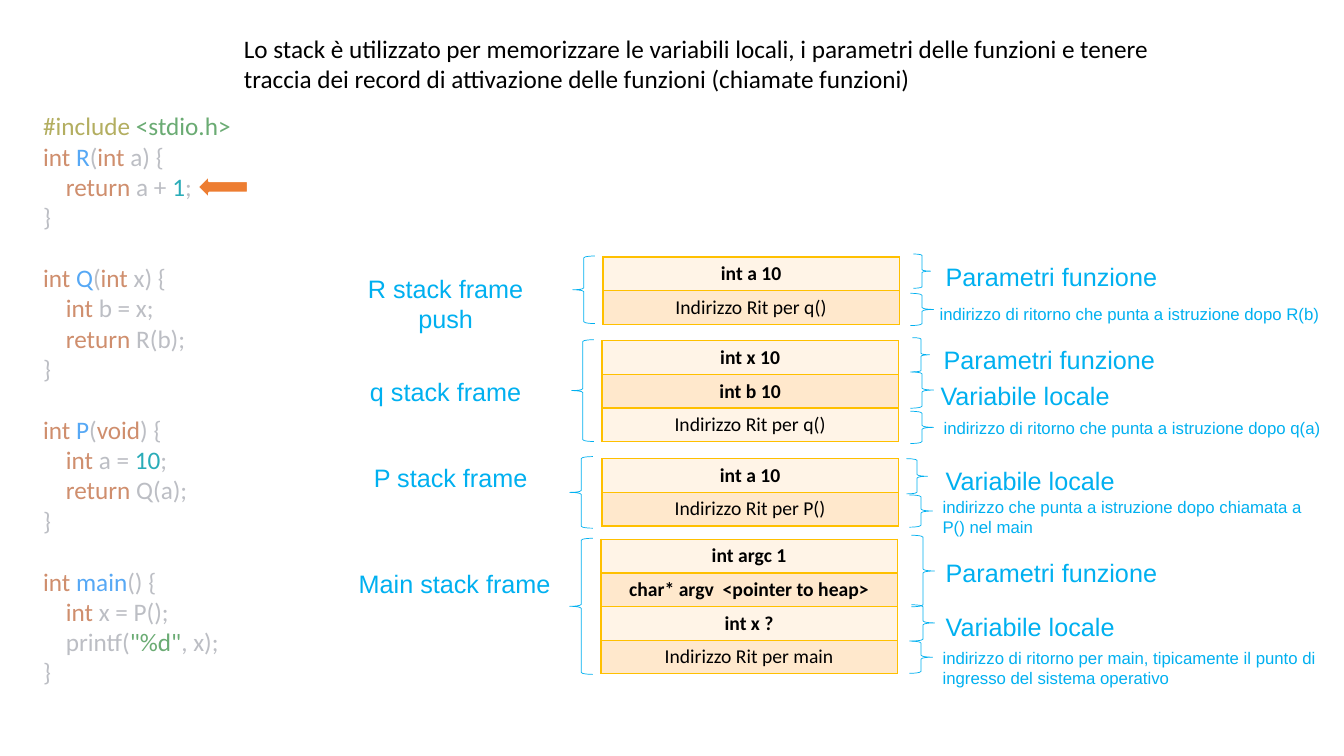
from dataclasses import dataclass

from lxml.etree import SubElement
from pptx import Presentation
from pptx.dml.color import RGBColor
from pptx.enum.shapes import MSO_SHAPE
from pptx.enum.text import PP_ALIGN
from pptx.oxml.ns import qn
from pptx.util import Inches, Pt


@dataclass(frozen=True)
class Theme:
    text: str = "000000"
    accent: str = "00B0F0"
    border: str = "FFC000"
    bands: tuple = ("FFF4E7", "FFE8CC")
    arrow: str = "ED7D31"
    arrow_line: str = "FFFFFF"
    plain: str = "BCBEC4"
    keyword: str = "CF8E6D"
    function: str = "56A8F5"
    number: str = "2AACB8"
    string: str = "6AAB73"
    directive: str = "B3AE60"
    body_font: str = "Calibri"
    label_font: str = "Arial"
    body_size: int = 18
    cell_size: int = 14
    small_size: int = 12


theme = Theme()


def add_run(paragraph, text, color, size=theme.body_size, font=theme.body_font, bold=False):
    run = paragraph.add_run()
    run.text = text
    run.font.name = font
    run.font.size = Pt(size)
    run.font.bold = bold
    run.font.color.rgb = RGBColor.from_string(color)


def add_frame(shapes, left, top, width, height):
    """Add a wrapping text box and return its text frame."""
    frame = shapes.add_textbox(Inches(left), Inches(top), Inches(width), Inches(height)).text_frame
    frame.word_wrap = True
    return frame


prs = Presentation()
prs.slide_width = Inches(13.33)
prs.slide_height = Inches(7.5)
shapes = prs.slides.add_slide(prs.slide_layouts[6]).shapes

intro = add_frame(shapes, 2.32, 0.28, 9.69, 0.71)
add_run(intro.paragraphs[0],
        "Lo stack è utilizzato per memorizzare le variabili locali, i parametri delle funzioni e tenere "
        "traccia dei record di attivazione delle funzioni (chiamate funzioni)", theme.text)

# Each stack frame: title and its place, table place, rows, left brace,
# then the notes as (brace box, label, label place, size)
PARAMETERS, LOCAL = "Parametri funzione", "Variabile locale"
BIG, SMALL = theme.body_size, theme.small_size
stack_frames = [
    ("R stack frame push", (3.27, 2.66), (5.98, 2.55),
     ["int a 10", "Indirizzo Rit per q()"], (5.68, 2.54, 0.22, 0.67),
     [((9.06, 2.52, 0.17, 0.34), PARAMETERS, (9.28, 2.54), BIG),
      ((9.03, 2.91, 0.23, 0.32), "indirizzo di ritorno che punta a istruzione dopo R(b)",
       (9.22, 2.96), SMALL)]),
    ("q stack frame", (3.27, 3.68), (5.97, 3.38),
     ["int x 10", "int b 10", "Indirizzo Rit per q()"], (5.67, 3.37, 0.22, 1.01),
     [((9.05, 3.35, 0.17, 0.34), PARAMETERS, (9.26, 3.37), BIG),
      ((9.03, 3.69, 0.23, 0.36), LOCAL, (9.23, 3.72), BIG),
      ((9.03, 4.08, 0.23, 0.32), "indirizzo di ritorno che punta a istruzione dopo q(a)",
       (9.26, 4.1), SMALL)]),
    ("P stack frame", (3.32, 4.54), (5.97, 4.55),
     ["int a 10", "Indirizzo Rit per P()"], (5.65, 4.53, 0.23, 0.71),
     [((8.99, 4.55, 0.21, 0.35), LOCAL, (9.28, 4.57), BIG),
      ((9.02, 4.91, 0.23, 0.32), "indirizzo che punta a istruzione dopo chiamata a P() nel main",
       (9.25, 4.88), SMALL)]),
    ("Main stack frame", (3.36, 5.59), (5.96, 5.35),
     ["int argc 1", "char* argv  <pointer to heap>", "int x ?", "Indirizzo Rit per main"],
     (5.65, 5.34, 0.23, 1.35),
     [((9.04, 5.31, 0.23, 0.71), PARAMETERS, (9.28, 5.48), BIG),
      ((9.04, 6, 0.23, 0.36), LOCAL, (9.28, 6.02), BIG),
      ((9.02, 6.36, 0.23, 0.32),
       "indirizzo di ritorno per main, tipicamente il punto di ingresso del sistema operativo",
       (9.25, 6.38), SMALL)]),
]
ROW_HEIGHT = 0.33

for title, title_place, (left, top), rows, frame_brace, notes in stack_frames:
    table = shapes.add_table(len(rows), 1, Inches(left), Inches(top),
                             Inches(2.94), Inches(ROW_HEIGHT * len(rows))).table
    table.first_row = False
    table.horz_banding = False
    for index, entry in enumerate(rows):
        cell = table.cell(index, 0)
        properties = cell._tc.get_or_add_tcPr()
        for side in ("a:lnL", "a:lnR", "a:lnT", "a:lnB"):
            edge = SubElement(properties, qn(side), w=str(Pt(1)))
            SubElement(SubElement(edge, qn("a:solidFill")), qn("a:srgbClr"), val=theme.border)
        cell.fill.solid()
        cell.fill.fore_color.rgb = RGBColor.from_string(theme.bands[index % 2])
        paragraph = cell.text_frame.paragraphs[0]
        paragraph.alignment = PP_ALIGN.CENTER
        add_run(paragraph, entry, theme.text, theme.cell_size,
                bold=not entry.startswith("Indirizzo"))

    caption = add_frame(shapes, *title_place, 2.3, 0.4).paragraphs[0]
    caption.alignment = PP_ALIGN.CENTER
    add_run(caption, title, theme.accent, font=theme.label_font)

    braces = [(MSO_SHAPE.LEFT_BRACE, frame_brace)]
    for note_brace, label, place, size in notes:
        braces.append((MSO_SHAPE.RIGHT_BRACE, note_brace))
        note = add_frame(shapes, *place, 4.02, 0.4)
        add_run(note.paragraphs[0], label, theme.accent, size, theme.label_font)

    for kind, box in braces:
        brace = shapes.add_shape(kind, *map(Inches, box))
        brace.shadow.inherit = False
        brace.fill.background()
        brace.line.color.rgb = RGBColor.from_string(theme.accent)
        brace.line.width = Pt(0.5)

current_line = shapes.add_shape(MSO_SHAPE.LEFT_ARROW, Inches(1.96), Inches(1.74),
                                Inches(0.5), Inches(0.23))
current_line.shadow.inherit = False
current_line.fill.solid()
current_line.fill.fore_color.rgb = RGBColor.from_string(theme.arrow)
current_line.line.color.rgb = RGBColor.from_string(theme.arrow_line)
current_line.line.width = Pt(1.5)

# One paragraph per C function, one list of coloured pieces per line
PLAIN, KEY, FUNC, NUM = theme.plain, theme.keyword, theme.function, theme.number
functions = [
    [[("#include ", theme.directive), ("<stdio.h>", theme.string)],
     [("int ", KEY), ("R", FUNC), ("(", PLAIN), ("int ", KEY), ("a) {", PLAIN)],
     [("    return ", KEY), ("a + ", PLAIN), ("1", NUM), (";", PLAIN)],
     [("}", PLAIN)]],
    [[("int ", KEY), ("Q", FUNC), ("(", PLAIN), ("int ", KEY), ("x) {", PLAIN)],
     [("    int", KEY), (" b = x;", PLAIN)],
     [("    return ", KEY), ("R(b);", PLAIN)],
     [("}", PLAIN)]],
    [[("int ", KEY), ("P", FUNC), ("(", PLAIN), ("void", KEY), (") {", PLAIN)],
     [("    int ", KEY), ("a = ", PLAIN), ("10", NUM), (";", PLAIN)],
     [("    return ", KEY), ("Q(a);", PLAIN)],
     [("}", PLAIN)]],
    [[("int ", KEY), ("main", FUNC), ("() {", PLAIN)],
     [("    int ", KEY), ("x = P();", PLAIN)],
     [("    printf(", PLAIN), ('"%d"', theme.string), (", x);", PLAIN)],
     [("}", PLAIN)]],
]
code = add_frame(shapes, 0.33, 1.05, 2.3, 6.16)
for function_index, lines in enumerate(functions):
    paragraph = code.paragraphs[0]
    if function_index:
        paragraph = code.add_paragraph()
        paragraph.space_before = Pt(22)
    for line_index, pieces in enumerate(lines):
        if line_index:
            paragraph.add_line_break()
        for text, color in pieces:
            add_run(paragraph, text, color)

prs.save("out.pptx")
